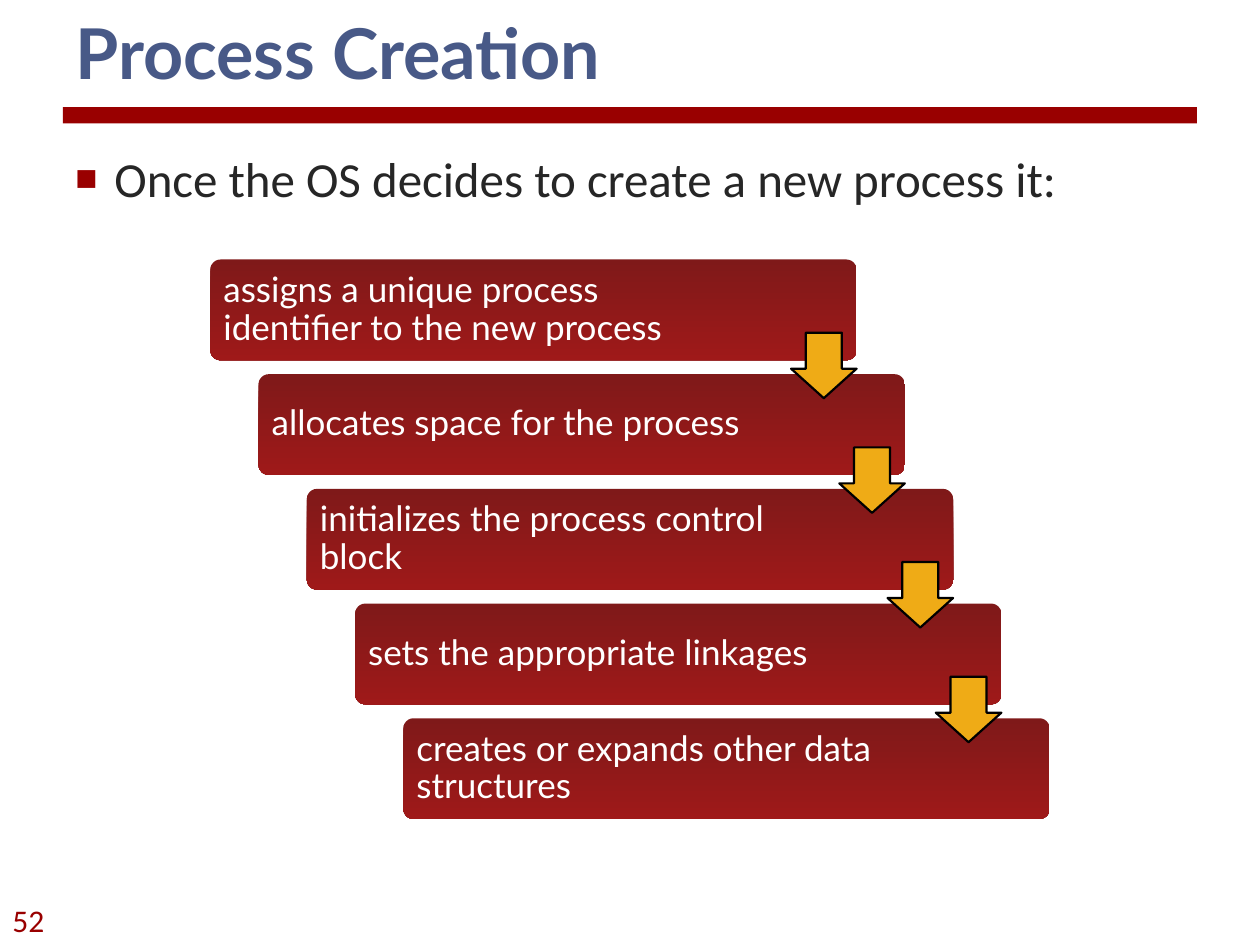
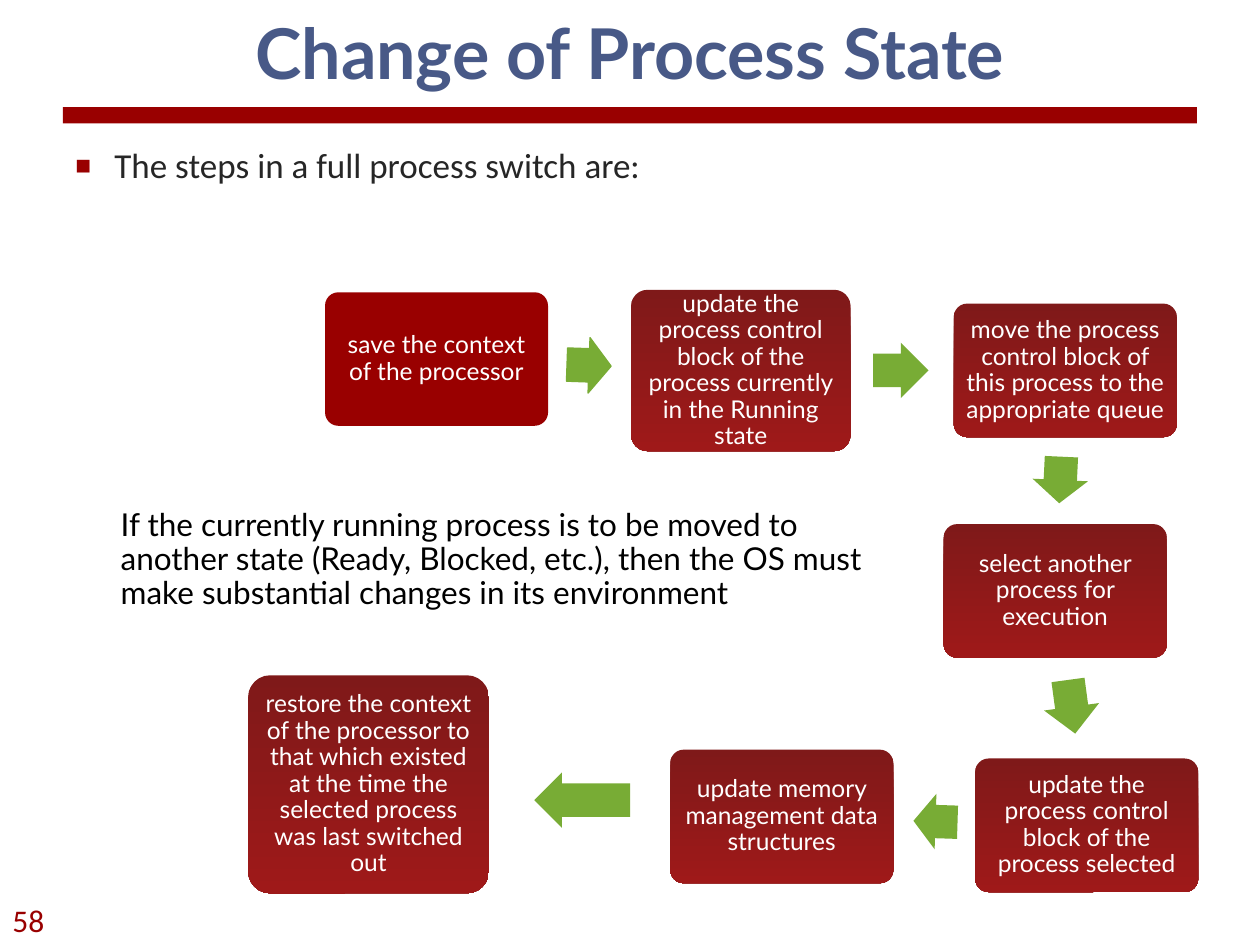
from dataclasses import dataclass

from lxml.etree import SubElement
from pptx import Presentation
from pptx.dml.color import RGBColor
from pptx.enum.shapes import MSO_SHAPE
from pptx.enum.text import MSO_ANCHOR, PP_ALIGN
from pptx.oxml.ns import qn
from pptx.util import Inches, Pt

COLORS = {
    "accent": "990000",
    "title": "485987",
    "body": "262626",
    "note": "000000",
    "box_top": "720000",
    "box_bottom": "950000",
    "box_text": "FFFFFF",
    "step_arrow": "EFAB16",
    "step_outline": "000000",
    "flow_arrow": "78AC35",
}
COLUMNS, ROWS = 100, 75
SLIDE_WIDTH, SLIDE_HEIGHT = Inches(10), Inches(7.5)
HEADING_FONT, BODY_FONT = "Lato", "Calibri"

STEPS = [
    "assigns a unique process identifier to the new process",
    "allocates space for the process",
    "initializes the process control block",
    "sets the appropriate linkages",
    "creates or expands other data structures",
]


@dataclass
class Box:
    """A rectangle in grid columns and rows."""
    left: float
    top: float
    width: float
    height: float

    def inner(self, left, top, width, height):
        """Return a box whose corner is counted from this box's corner."""
        return Box(self.left + left, self.top + top, width, height)

    def lengths(self):
        column, row = SLIDE_WIDTH / COLUMNS, SLIDE_HEIGHT / ROWS
        return (round(self.left * column), round(self.top * row),
                round(self.width * column), round(self.height * row))


TITLE = Box(5, 1.4, 90, 6)
BAND = Box(5, 8.5, 90, 1.3)
BODY = Box(5, 11.3, 90, 58.7)
NUMBER = Box(0, 71, 5, 4)
STAIRCASE = Box(16.7, 20.6, 66.6, 44.4)
FLOW = Box(19.7, 23, 75.4, 47.9)
NOTE = Box(8.6, 39.9, 61.7, 9.2)

FLOW_NODE = (17.7, 10.6)
FLOW_NODES = [
    ((6.1, 0.2), FLOW_NODE, "save the context of the processor"),
    ((30.4, 0), (17.4, 12.8),
     "update the process control block of the process currently in the Running state"),
    ((56, 1.1), FLOW_NODE,
     "move the process control block of this process to the appropriate queue"),
    ((55.2, 18.6), FLOW_NODE, "select another process for execution"),
    ((57.7, 37.2), FLOW_NODE, "update the process control block of the process selected"),
    ((33.5, 36.5), FLOW_NODE, "update memory management data structures"),
    ((0, 30.6), (19.1, 17.3),
     "restore the context of the processor to that which existed "
     "at the time the selected process was last switched out"),
]
# Left, top, length and rotation of each arrow
FLOW_ARROWS = [
    (25.3, 3.8, 3.5, 2),
    (49.6, 4.2, 4.4, 0),
    (62.6, 12.9, 3.7, 92.7),
    (63.2, 30.9, 4.3, 82.3),
    (52.8, 40, 3.5, 181.8),
    (22.7, 38.3, 7.6, 180),
]
FLOW_ARROW_THICKNESS = 4.4


def color(name):
    return RGBColor.from_string(COLORS[name])


def write(shape, text, size, color_name, font=HEADING_FONT, bold=False,
          align=PP_ALIGN.LEFT, anchor=MSO_ANCHOR.TOP, spacing=None, before=None,
          margins=(0.1, 0.05, 0.1, 0.05)):
    """Set the shape's one paragraph; margins are left, top, right, bottom in inches."""
    frame = shape.text_frame
    frame.word_wrap = True
    frame.vertical_anchor = anchor
    (frame.margin_left, frame.margin_top,
     frame.margin_right, frame.margin_bottom) = map(Inches, margins)
    paragraph = frame.paragraphs[0]
    paragraph.text = text
    paragraph.alignment = align
    paragraph.line_spacing = spacing
    paragraph.space_before = before
    paragraph.font.name = font
    paragraph.font.size = Pt(size)
    paragraph.font.bold = bold
    paragraph.font.color.rgb = color(color_name)
    return paragraph


def add_text(slide, box, text, size, color_name, **style):
    return write(slide.shapes.add_textbox(*box.lengths()), text, size, color_name, **style)


def add_filled(slide, kind, box, fill, adjustments=(), outline=None, outline_width=0.75):
    shape = slide.shapes.add_shape(kind, *box.lengths())
    shape.shadow.inherit = False
    for index, value in enumerate(adjustments):
        shape.adjustments[index] = value
    shape.fill.solid()
    shape.fill.fore_color.rgb = color(fill)
    if outline:
        shape.line.color.rgb = color(outline)
        shape.line.width = Pt(outline_width)
    else:
        shape.line.fill.background()
    return shape


def shade(shape):
    """Fill with the slightly transparent dark red gradient, darkest on top."""
    shape.fill.gradient()
    shape.fill.gradient_angle = 270
    for stop, name in zip(shape.fill.gradient_stops, ("box_top", "box_bottom")):
        stop.color.rgb = color(name)
    for stop_color in shape.element.spPr.find(qn("a:gradFill")).iter(qn("a:srgbClr")):
        SubElement(stop_color, qn("a:alpha"), val="90000")


def add_bullet(paragraph):
    properties = paragraph._p.get_or_add_pPr()
    properties.set("marL", str(Inches(0.31)))
    properties.set("indent", str(-Inches(0.31)))
    bullet_color = SubElement(properties, qn("a:buClr"))
    SubElement(bullet_color, qn("a:srgbClr"), val=COLORS["accent"])
    SubElement(properties, qn("a:buSzPct"), val="75000")
    SubElement(properties, qn("a:buFont"), typeface="Arial")
    SubElement(properties, qn("a:buChar"), char="■")


def add_base_slide(presentation, title, number, lead, lead_size, lead_before,
                   title_align=PP_ALIGN.LEFT, lead_spacing=None):
    """Add a slide with its title, band, bulleted lead line and number."""
    slide = presentation.slides.add_slide(presentation.slide_layouts[6])
    add_filled(slide, MSO_SHAPE.RECTANGLE, BAND, "accent")
    add_text(slide, TITLE, title, 40, "title", bold=True, align=title_align,
             anchor=MSO_ANCHOR.BOTTOM, spacing=Pt(54), margins=(0.1, 0, 0.1, 0))
    add_bullet(add_text(slide, BODY, lead, lead_size, "body", font=BODY_FONT,
                        before=Pt(lead_before), spacing=lead_spacing))
    add_text(slide, NUMBER, number, 18, "accent", font=BODY_FONT,
             anchor=MSO_ANCHOR.MIDDLE, margins=(0.1,) * 4)
    return slide


def add_staircase(slide, box, steps):
    width, height, arrow_side = box.width * 0.77, box.height * 0.18, 5.2
    across = (box.width - width) / (len(steps) - 1)
    down = (box.height - height) / (len(steps) - 1)
    places = [box.inner(index * across, index * down, width, height)
              for index in range(len(steps))]
    for place, text in zip(places, steps):
        step = add_filled(slide, MSO_SHAPE.ROUNDED_RECTANGLE, place, "accent", [0.1])
        shade(step)
        write(step, text, 20, "box_text", anchor=MSO_ANCHOR.MIDDLE, spacing=0.9,
              margins=(0.08, 0.08, 0.98, 0.08))
    for place in places[:-1]:
        arrow = place.inner(width - arrow_side, 5.8, arrow_side, arrow_side)
        add_filled(slide, MSO_SHAPE.DOWN_ARROW, arrow, "step_arrow", [0.55, 0.45],
                   outline="step_outline", outline_width=1.25)


def add_flow(slide, box, nodes, arrows):
    for index, (corner, size, text) in enumerate(nodes):
        node = add_filled(slide, MSO_SHAPE.ROUNDED_RECTANGLE, box.inner(*corner, *size),
                          "accent", [0.1])
        if index > 0:
            shade(node)
        write(node, text, 14, "box_text", align=PP_ALIGN.CENTER,
              anchor=MSO_ANCHOR.MIDDLE, spacing=0.9, margins=(0.06,) * 4)
    for index, (left, top, length, rotation) in enumerate(arrows):
        place = box.inner(left, top, length, FLOW_ARROW_THICKNESS)
        arrow = add_filled(slide, MSO_SHAPE.RIGHT_ARROW, place, "flow_arrow", [0.6, 0.5],
                           outline="flow_arrow" if index == 0 else None)
        arrow.rotation = rotation


def add_creation_slide(presentation):
    slide = add_base_slide(presentation, "Process Creation", "52",
                           "Once the OS decides to create a new process it:", 28, 18)
    add_staircase(slide, STAIRCASE, STEPS)


def add_state_change_slide(presentation):
    slide = add_base_slide(presentation, "Change of Process State", "58",
                           "The steps in a full process switch are:", 20, 12,
                           title_align=PP_ALIGN.CENTER, lead_spacing=0.9)
    add_flow(slide, FLOW, FLOW_NODES, FLOW_ARROWS)
    add_text(slide, NOTE,
             "If the currently running process is to be moved to another state "
             "(Ready, Blocked, etc.), then the OS must make substantial changes "
             "in its environment", 18, "note", spacing=0.9, before=Pt(12))


def main():
    presentation = Presentation()
    presentation.slide_width, presentation.slide_height = SLIDE_WIDTH, SLIDE_HEIGHT
    add_creation_slide(presentation)
    add_state_change_slide(presentation)
    presentation.save("out.pptx")


if __name__ == "__main__":
    main()
